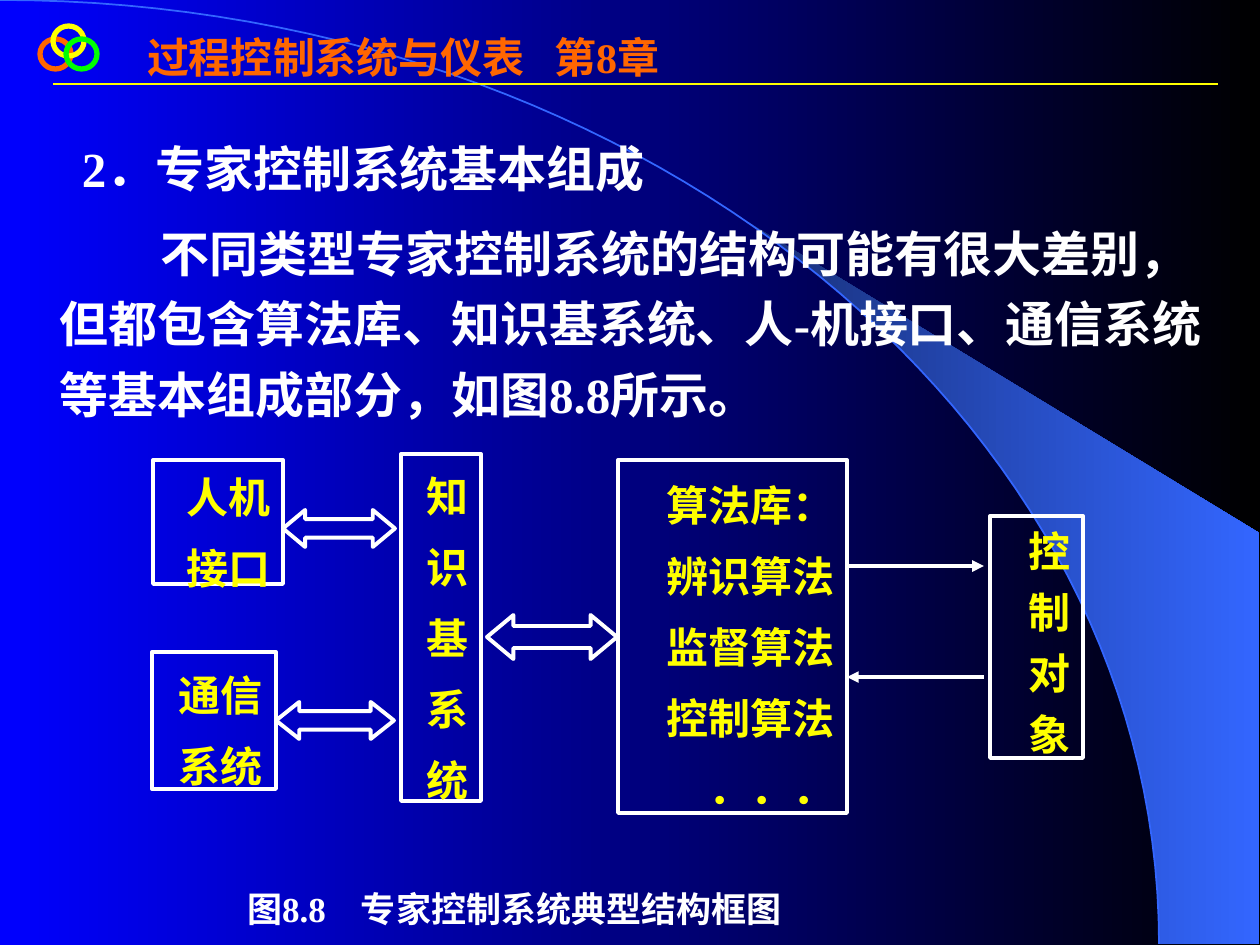
from dataclasses import dataclass

from lxml.etree import SubElement
from pptx import Presentation
from pptx.dml.color import RGBColor
from pptx.enum.shapes import MSO_CONNECTOR, MSO_SHAPE
from pptx.enum.text import MSO_ANCHOR, PP_ALIGN
from pptx.oxml.ns import qn
from pptx.util import Emu, Pt

PX = 7258  # EMU in one px, at 126 px to the inch
FONT = "Times New Roman"
WHITE = RGBColor(0xFF, 0xFF, 0xFF)
BLACK = RGBColor(0x00, 0x00, 0x00)
YELLOW = RGBColor(0xFF, 0xFF, 0x00)
ORANGE = RGBColor(0xFF, 0x66, 0x00)
GREEN = RGBColor(0x00, 0xFF, 0x00)
BLUE = RGBColor(0x00, 0x00, 0xFF)
NAVY = RGBColor(0x18, 0x2F, 0x76)
SKY = RGBColor(0x33, 0x66, 0xFF)

INSET_X, INSET_Y = 13, 6
ARC_CONTROLS = ((0, 0), (640, 0), (1159, 422), (1159, 944))
WEDGE_START = 0.44  # share of the arc that lies before the wedge


@dataclass(frozen=True)
class Area:
    left: int
    top: int
    width: int
    height: int

    def emu(self) -> tuple:
        return tuple(Emu(n * PX) for n in (self.left, self.top, self.width, self.height))


@dataclass(frozen=True)
class Ring:
    area: Area
    color: RGBColor


@dataclass(frozen=True)
class Block:
    area: Area
    lines: tuple
    spacing: float = 1.2


@dataclass(frozen=True)
class DoubleArrow:
    area: Area
    head: float


@dataclass(frozen=True)
class Line:
    start: tuple
    end: tuple
    color: RGBColor
    weight: float
    arrow: bool = False


RINGS = (
    Ring(Area(40, 39, 31, 30), ORANGE),
    Ring(Area(53, 26, 31, 30), YELLOW),
    Ring(Area(66, 39, 31, 30), GREEN),
)
BLOCKS = (
    Block(Area(153, 460, 130, 124), ("人机", "接口")),
    Block(Area(152, 652, 124, 137), ("通信", "系统")),
    Block(Area(401, 454, 80, 347), tuple("知识基系统")),
    Block(Area(618, 460, 229, 353), ("算法库：", "辨识算法", "监督算法", "控制算法", "．．．")),
    Block(Area(990, 516, 93, 242), tuple("控制对象"), 1.0),
)
DOUBLE_ARROWS = (
    DoubleArrow(Area(283, 510, 112, 37), 0.6),
    DoubleArrow(Area(276, 702, 118, 37), 0.63),
    DoubleArrow(Area(487, 615, 130, 44), 0.6),
)
LINES = (
    Line((53, 84), (1218, 84), YELLOW, 1.5),
    Line((847, 566), (984, 566), WHITE, 2.25, True),
    Line((984, 677), (847, 677), WHITE, 2.25, True),
)


def set_gradient(fill, first: RGBColor, last: RGBColor) -> None:
    fill.gradient()
    fill.gradient_angle = 0
    for stop, color, position in zip(fill.gradient_stops, (first, last), (0, 1)):
        stop.color.rgb = color
        stop.position = position


def arc_points(start: float, steps: int = 60) -> list:
    """Points of the cubic arc from the given share to its end, in EMU."""
    points = []
    for step in range(steps + 1):
        t = start + (1 - start) * step / steps
        weights = ((1 - t) ** 3, 3 * t * (1 - t) ** 2, 3 * t * t * (1 - t), t ** 3)
        points.append(tuple(
            round(PX * sum(w * control[axis] for w, control in zip(weights, ARC_CONTROLS)))
            for axis in (0, 1)))
    return points


def add_outline(page, points: list, close: bool):
    builder = page.shapes.build_freeform(*points[0], scale=1.0)
    builder.add_line_segments(points[1:], close=close)
    shape = builder.convert_to_shape()
    shape.shadow.inherit = False
    return shape


def add_backdrop(page) -> None:
    set_gradient(page.background.fill, BLUE, BLACK)
    corners = [(1259 * PX, 944 * PX), (1259 * PX, 533 * PX)]
    wedge = add_outline(page, arc_points(WEDGE_START) + corners, True)
    set_gradient(wedge.fill, NAVY, SKY)
    wedge.line.fill.background()
    arc = add_outline(page, arc_points(0), False)
    arc.fill.background()
    arc.line.color.rgb = SKY
    arc.line.width = Pt(1)


def add_outlined(page, kind, area: Area, color: RGBColor, weight: float):
    shape = page.shapes.add_shape(kind, *area.emu())
    shape.shadow.inherit = False
    shape.fill.background()
    shape.line.color.rgb = color
    shape.line.width = Pt(weight)
    return shape


def add_line(page, line: Line) -> None:
    ends = [Emu(n * PX) for n in line.start + line.end]
    connector = page.shapes.add_connector(MSO_CONNECTOR.STRAIGHT, *ends)
    connector.line.color.rgb = line.color
    connector.line.width = Pt(line.weight)
    if line.arrow:
        SubElement(connector.line._get_or_add_ln(), qn("a:tailEnd"), type="triangle")
    SubElement(connector._element.spPr, qn("a:effectLst"))


def fill_text(shape, lines: tuple, size: int, color: RGBColor, align=PP_ALIGN.LEFT,
              spacing: float = 1.0, gap: int = 0, lead: int = 0) -> list:
    """Write the lines; gap is in points between them, lead in px above the first."""
    frame = shape.text_frame
    frame.margin_left = frame.margin_right = Emu(INSET_X * PX)
    frame.margin_top = Emu((INSET_Y + lead) * PX)
    frame.margin_bottom = Emu(INSET_Y * PX)
    frame.text = "\n".join(lines)
    for index, para in enumerate(frame.paragraphs):
        para.alignment = align
        para.line_spacing = spacing
        para.space_before = Pt(gap if index else 0)
        for span in para.runs:
            span.font.name = FONT
            span.font.size = Pt(size)
            span.font.bold = True
            span.font.color.rgb = color
    return list(frame.paragraphs)


def add_text_box(page, area: Area):
    box = page.shapes.add_textbox(*area.emu())
    box.text_frame.word_wrap = True
    return box


def add_header(page) -> None:
    box = add_text_box(page, Area(134, 26, 566, 113))
    para = fill_text(box, ("过程控制系统与仪表\t第8章",), 24, ORANGE)[0]
    tabs = SubElement(para._p.get_or_add_pPr(), qn("a:tabLst"))
    SubElement(tabs, qn("a:tab"), pos=str(407 * PX), algn="l")


def add_body(page) -> None:
    lines = (
        "2．专家控制系统基本组成",
        "不同类型专家控制系统的结构可能有很大差别，但都包含算法库、知识基系统、"
        "人-机接口、通信系统等基本组成部分，如图8.8所示。",
    )
    box = add_text_box(page, Area(0, 101, 1231, 743))
    paras = fill_text(box, lines, 28, WHITE, spacing=1.2, gap=8, lead=20)
    for para, indent in zip(paras, (22, 101)):
        settings = para._p.get_or_add_pPr()
        settings.set("marL", str(47 * PX))
        settings.set("indent", str(indent * PX))


def add_block(page, block: Block) -> None:
    shape = add_outlined(page, MSO_SHAPE.RECTANGLE, block.area, WHITE, 2.25)
    shape.text_frame.word_wrap = False
    shape.text_frame.vertical_anchor = MSO_ANCHOR.MIDDLE
    fill_text(shape, block.lines, 24, YELLOW, PP_ALIGN.RIGHT, block.spacing, gap=6, lead=10)


def main() -> None:
    deck = Presentation()
    deck.slide_width, deck.slide_height = Emu(1260 * PX), Emu(945 * PX)
    page = deck.slides.add_slide(deck.slide_layouts[6])
    add_backdrop(page)
    for ring in RINGS:
        add_outlined(page, MSO_SHAPE.OVAL, ring.area, ring.color, 3)
    add_header(page)
    add_body(page)
    for block in BLOCKS:
        add_block(page, block)
    for line in LINES:
        add_line(page, line)
    for arrow in DOUBLE_ARROWS:
        shape = add_outlined(page, MSO_SHAPE.LEFT_RIGHT_ARROW, arrow.area, WHITE, 2.25)
        shape.adjustments[1] = arrow.head
    caption = add_text_box(page, Area(0, 851, 1029, 63))
    fill_text(caption, ("图8.8　专家控制系统典型结构框图",), 20, WHITE, PP_ALIGN.CENTER, 1.2, lead=22)
    deck.save("out.pptx")


if __name__ == "__main__":
    main()
